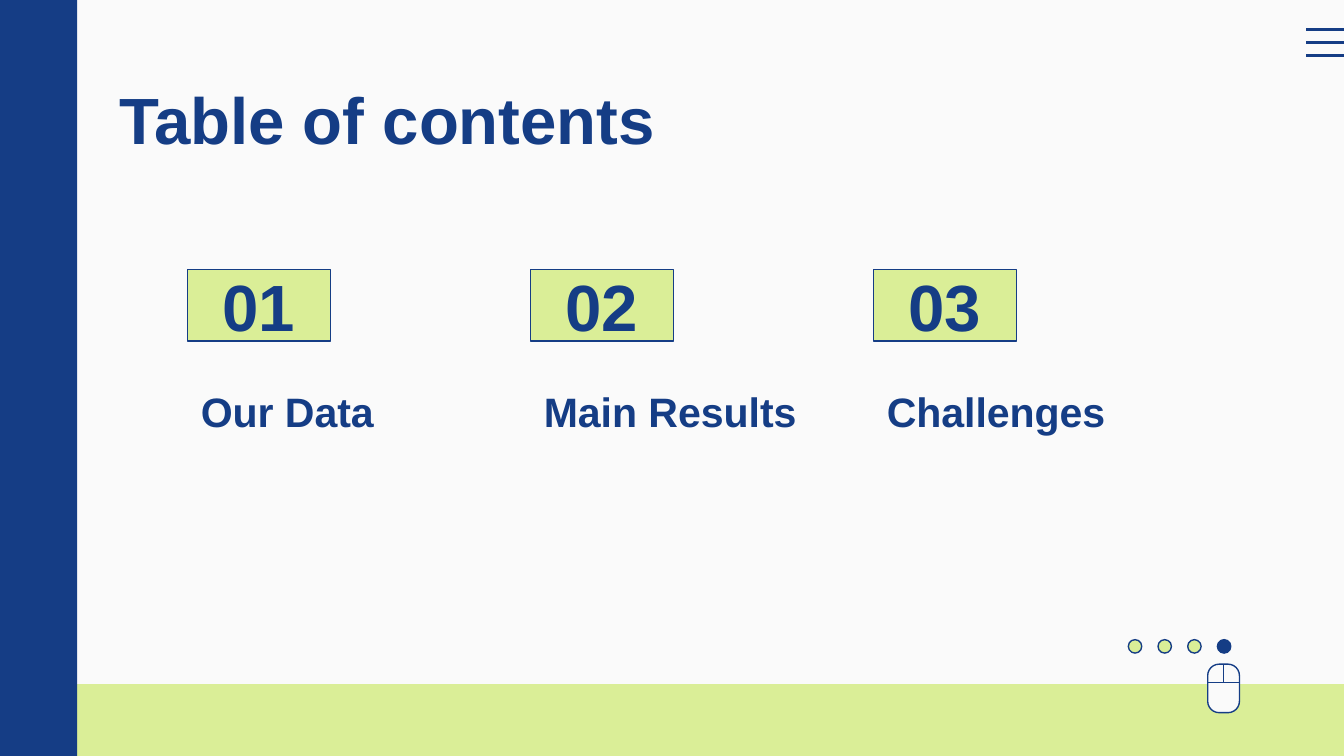
from dataclasses import dataclass

from lxml.etree import SubElement
from pptx import Presentation
from pptx.dml.color import RGBColor
from pptx.enum.shapes import MSO_CONNECTOR, MSO_SHAPE
from pptx.enum.text import MSO_ANCHOR, PP_ALIGN
from pptx.oxml.ns import qn
from pptx.util import Pt


@dataclass(frozen=True)
class Theme:
    """Colours, typeface and type sizes of the deck."""

    navy: RGBColor = RGBColor(0x15, 0x3D, 0x85)
    lime: RGBColor = RGBColor(0xDA, 0xEE, 0x97)
    paper: RGBColor = RGBColor(0xFA, 0xFA, 0xFA)
    font: str = "Arial"
    heading: int = 35
    topic: int = 22
    hairline: float = 0.75
    menu_line: float = 1.5


class SlideBuilder:
    """Draws themed elements on one slide, with all lengths in points."""

    def __init__(self, slide, theme):
        """Keep the slide and theme and paint the background."""
        self.slide = slide
        self.theme = theme
        slide.background.fill.solid()
        slide.background.fill.fore_color.rgb = theme.paper

    def shape(self, kind, left, top, width, height, colour, outlined=True):
        """Add a filled preset shape and return it."""
        shape = self.slide.shapes.add_shape(
            kind, Pt(left), Pt(top), Pt(width), Pt(height))
        shape.shadow.inherit = False
        shape.fill.solid()
        shape.fill.fore_color.rgb = colour
        if outlined:
            shape.line.color.rgb = self.theme.navy
            shape.line.width = Pt(self.theme.hairline)
        else:
            shape.line.fill.background()
        return shape

    def line(self, x1, y1, x2, y2, weight):
        """Add a straight navy line."""
        line = self.slide.shapes.add_connector(
            MSO_CONNECTOR.STRAIGHT, Pt(x1), Pt(y1), Pt(x2), Pt(y2))
        line.line.color.rgb = self.theme.navy
        line.line.width = Pt(weight)
        SubElement(line._element.spPr, qn("a:effectLst"))

    def label(self, holder, text, size, anchor, align=PP_ALIGN.LEFT, spacing=1.0):
        """Put one bold run into a shape or text box."""
        frame = holder.text_frame
        frame.word_wrap = True
        frame.vertical_anchor = anchor
        frame.margin_left = frame.margin_right = Pt(7.2)
        frame.margin_top = frame.margin_bottom = Pt(7.2)
        paragraph = frame.paragraphs[0]
        paragraph.alignment = align
        paragraph.line_spacing = spacing
        run = paragraph.add_run()
        run.text = text
        run.font.name = self.theme.font
        run.font.size = Pt(size)
        run.font.bold = True
        run.font.color.rgb = self.theme.navy

    def text(self, left, top, width, height, text, size, anchor, spacing=1.0):
        """Add a text box holding one line of text."""
        box = self.slide.shapes.add_textbox(
            Pt(left), Pt(top), Pt(width), Pt(height))
        self.label(box, text, size, anchor, spacing=spacing)

    def frame(self):
        """Draw the bottom band, the sidebar and the menu lines."""
        theme = self.theme
        self.shape(MSO_SHAPE.RECTANGLE, 41, 366.5, 679, 38.5, theme.lime, False)
        self.shape(MSO_SHAPE.RECTANGLE, 0, 0, 41.3, 405, theme.navy, False)
        for row in range(3):
            y = 15.9 + row * 7
            self.line(699.8, y, 720, y, theme.menu_line)

    def topic(self, left, number, heading):
        """Draw a numbered badge with its heading below."""
        theme = self.theme
        badge = self.shape(
            MSO_SHAPE.RECTANGLE, left, 144.4, 76.5, 38.3, theme.lime)
        self.label(badge, f"{number:02}", theme.heading,
                   MSO_ANCHOR.MIDDLE, PP_ALIGN.CENTER)
        self.text(left, 202.5, 151.2, 38.2, heading, theme.topic,
                  MSO_ANCHOR.BOTTOM, 1.15)

    def page_dots(self, count, current):
        """Draw a row of dots with the current one in navy."""
        for index in range(count):
            colour = self.theme.navy if index == current else self.theme.lime
            self.shape(MSO_SHAPE.OVAL, 604.5 + index * 15.9, 342.7, 7.2, 7.2, colour)

    def mouse(self, left, top, width, height):
        """Draw a computer mouse with two buttons."""
        theme = self.theme
        body = self.shape(
            MSO_SHAPE.ROUNDED_RECTANGLE, left, top, width, height, theme.paper)
        body.adjustments[0] = 0.36
        middle, button_edge = left + width / 2, top + 9.8
        self.line(left, button_edge, left + width, button_edge, theme.hairline)
        self.line(middle, top, middle, button_edge, theme.hairline)


def main():
    """Build the contents slide and save it."""
    deck = Presentation()
    deck.slide_width, deck.slide_height = Pt(720), Pt(405)
    theme = Theme()
    contents = SlideBuilder(deck.slides.add_slide(deck.slide_layouts[6]), theme)
    contents.frame()
    contents.text(56.7, 35.3, 607, 45.4, "Table of contents",
                  theme.heading, MSO_ANCHOR.TOP)
    for index, heading in enumerate(("Our Data", "Main Results", "Challenges")):
        contents.topic(100.5 + index * 183.75, index + 1, heading)
    contents.page_dots(4, current=3)
    contents.mouse(647, 355.8, 17, 26)
    deck.save("out.pptx")


if __name__ == "__main__":
    main()
